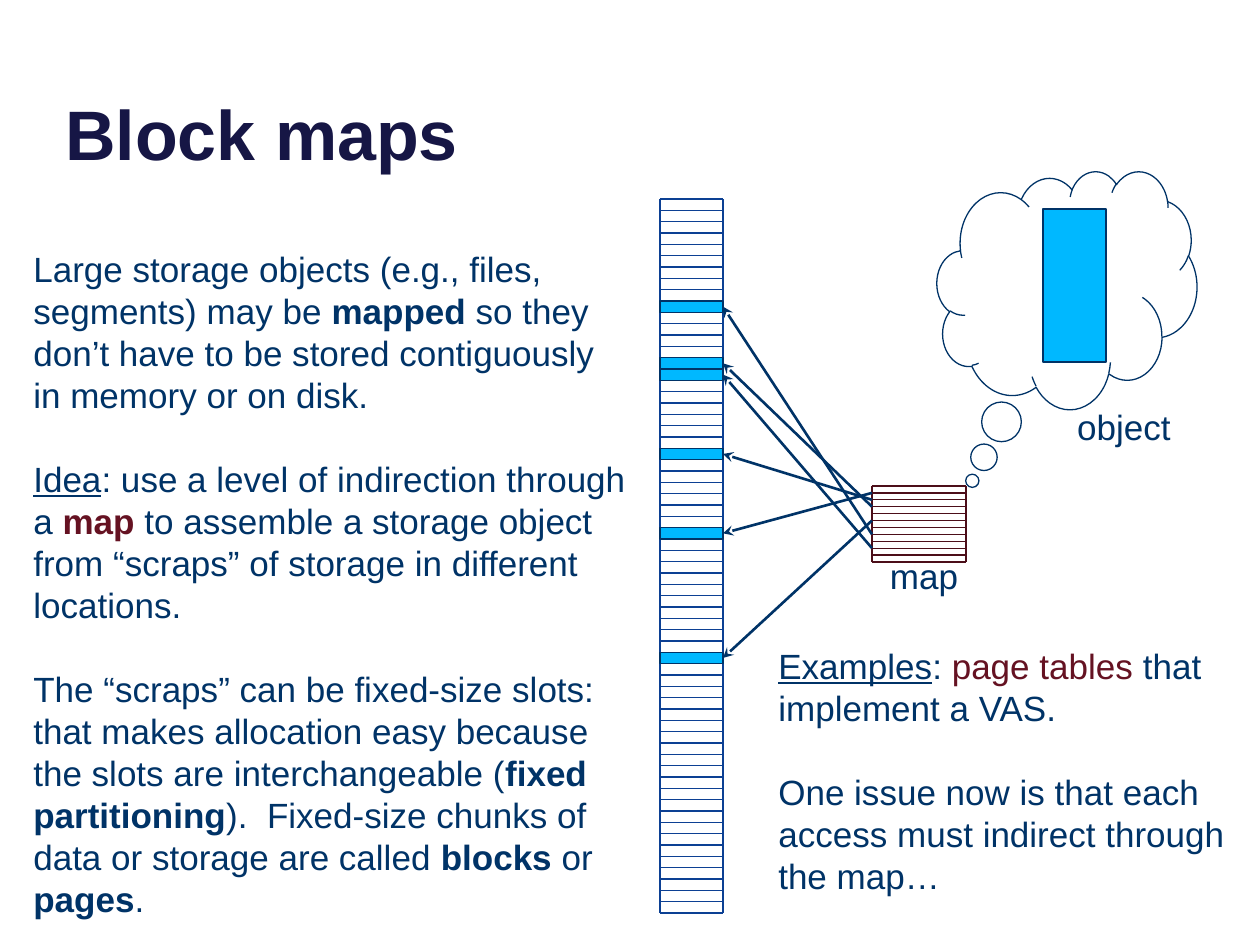
"""Build the "Block maps" slide: storage slots, a map and the object it describes."""
import lxml.etree
import pptx
import pptx.dml.color
import pptx.enum.shapes
import pptx.enum.text
import pptx.oxml.ns
import pptx.util

RGBColor = pptx.dml.color.RGBColor
SHAPE = pptx.enum.shapes.MSO_SHAPE
ALIGN = pptx.enum.text.PP_ALIGN
ANCHOR = pptx.enum.text.MSO_ANCHOR

NAVY = RGBColor(0x00, 0x33, 0x67)
TITLE_NAVY = RGBColor(0x16, 0x16, 0x45)
RULE_BLUE = RGBColor(0x0C, 0x40, 0x93)
BLOCK_BLUE = RGBColor(0x00, 0xB8, 0xFF)
MAROON = RGBColor(0x65, 0x12, 0x22)
MAP_MAROON = RGBColor(0x4C, 0x0E, 0x19)

PX = 914400 // 126
SLIDE_SIZE = (1260, 945)

BODY = {"name": "Arial", "size": pptx.util.Pt(20)}
TITLE = {"name": "Arial", "size": pptx.util.Pt(40), "bold": True}
BOLD = {"bold": True}
UNDERLINE = {"underline": True}

LARGE_OBJECTS = [[
    ("Large storage objects (e.g., files, segments) may be ", {}, NAVY),
    ("mapped", BOLD, NAVY),
    (" so they don’t have to be stored contiguously in memory or on disk.", {}, NAVY),
]]
IDEA = [
    [
        ("Idea", UNDERLINE, NAVY),
        (": use a level of indirection through a ", {}, NAVY),
        ("map", BOLD, MAROON),
        (" to assemble a storage object from “scraps” of storage in different locations.",
         {}, NAVY),
    ],
    [
        ("The “scraps” can be fixed-size slots: that makes allocation easy because "
         "the slots are interchangeable (", {}, NAVY),
        ("fixed partitioning", BOLD, NAVY),
        (").  Fixed-size chunks of data or storage are called ", {}, NAVY),
        ("blocks", BOLD, NAVY),
        (" or ", {}, NAVY),
        ("pages", BOLD, NAVY),
        (".", {}, NAVY),
    ],
]
EXAMPLES = [
    [
        ("Examples", UNDERLINE, NAVY),
        (": ", {}, NAVY),
        ("page tables", {}, MAROON),
        (" that implement a VAS.", {}, NAVY),
    ],
    [("One issue now is that each access must indirect through the map…", {}, NAVY)],
]

TEXTS = [
    ((21, 241, 609, 224), LARGE_OBJECTS, ALIGN.LEFT),
    ((21, 451, 620, 479), IDEA, ALIGN.LEFT),
    ((766, 638, 515, 310), EXAMPLES, ALIGN.LEFT),
    ((840, 548, 168, 55), [[("map", {}, NAVY)]], ALIGN.CENTER),
    ((1040, 399, 168, 55), [[("object", {}, NAVY)]], ALIGN.CENTER),
]

STORAGE = {"box": (660, 199, 63, 714), "rows": 63, "color": RULE_BLUE}
MAP = {"box": (872, 486, 94, 76), "rows": 11, "color": MAP_MAROON}
MAP_ROW_TO_SLOT = {3: 14, 1: 29, 2: 22, 7: 9, 9: 15, 5: 40}
CLOUD = (937, 171, 260, 238)
CLOUD_TAIL = (-0.364, 0.802)
OBJECT = (1043, 209, 63, 153)


def emu(lengths):
    return [round(length * PX) for length in lengths]


def row_y(ladder, row):
    top, height = ladder["box"][1], ladder["box"][3]
    return top + row * height / ladder["rows"]


def add_text(slide, box, paragraphs, align, base=BODY, anchor=ANCHOR.TOP):
    frame = slide.shapes.add_textbox(*emu(box)).text_frame
    frame.word_wrap = True
    frame.vertical_anchor = anchor
    for index, runs in enumerate(paragraphs):
        paragraph = frame.add_paragraph() if index else frame.paragraphs[0]
        paragraph.alignment = align
        if base is BODY:
            paragraph.line_spacing = pptx.util.Pt(24)
            paragraph.space_before = pptx.util.Pt(24 if index else 0)
        for text, style, color in runs:
            run = paragraph.add_run()
            run.text = text
            run.font.color.rgb = color
            for name, value in {**base, **style}.items():
                setattr(run.font, name, value)


def add_line(slide, start, end, color, width=0.75, arrow=False):
    connector = slide.shapes.add_connector(
        pptx.enum.shapes.MSO_CONNECTOR.STRAIGHT, *emu(start + end))
    connector.line.color.rgb = color
    connector.line.width = pptx.util.Pt(width)
    qn = pptx.oxml.ns.qn
    properties = connector._element.spPr
    lxml.etree.SubElement(properties, qn("a:effectLst"))
    if arrow:
        lxml.etree.SubElement(properties.find(qn("a:ln")), qn("a:headEnd"), type="stealth")


def add_ladder(slide, ladder):
    left, top, width, height = ladder["box"]
    for row in range(ladder["rows"] + 1):
        y = row_y(ladder, row)
        add_line(slide, (left, y), (left + width, y), ladder["color"])
    for x in (left, left + width):
        add_line(slide, (x, top + height), (x, top), ladder["color"])


def add_figure(slide, kind, box, fill=None):
    shape = slide.shapes.add_shape(kind, *emu(box))
    shape.shadow.inherit = False
    shape.line.color.rgb = NAVY
    shape.line.width = pptx.util.Pt(0.75)
    if fill is None:
        shape.fill.background()
    else:
        shape.fill.solid()
        shape.fill.fore_color.rgb = fill
    return shape


def main():
    presentation = pptx.Presentation()
    presentation.slide_width, presentation.slide_height = emu(SLIDE_SIZE)
    slide = presentation.slides.add_slide(presentation.slide_layouts[6])

    add_text(slide, (53, -33, 1113, 214), [[("Block maps", {}, TITLE_NAVY)]],
             ALIGN.LEFT, TITLE, ANCHOR.BOTTOM)
    add_ladder(slide, STORAGE)
    add_ladder(slide, MAP)

    left, _, width, height = STORAGE["box"]
    slot_height = height / STORAGE["rows"]
    for row, slot in sorted(MAP_ROW_TO_SLOT.items(), key=lambda pair: pair[1]):
        add_figure(slide, SHAPE.RECTANGLE,
                   (left, row_y(STORAGE, slot), width, slot_height), BLOCK_BLUE)
        add_line(slide, (left + width, row_y(STORAGE, slot + 0.5)),
                 (MAP["box"][0], row_y(MAP, row)), NAVY, 1.5, arrow=True)

    cloud = add_figure(slide, SHAPE.CLOUD_CALLOUT, CLOUD)
    for index, value in enumerate(CLOUD_TAIL):
        cloud.adjustments[index] = value
    add_figure(slide, SHAPE.RECTANGLE, OBJECT, BLOCK_BLUE)

    for box, paragraphs, align in TEXTS:
        add_text(slide, box, paragraphs, align)
    presentation.save("out.pptx")


if __name__ == "__main__":
    main()
